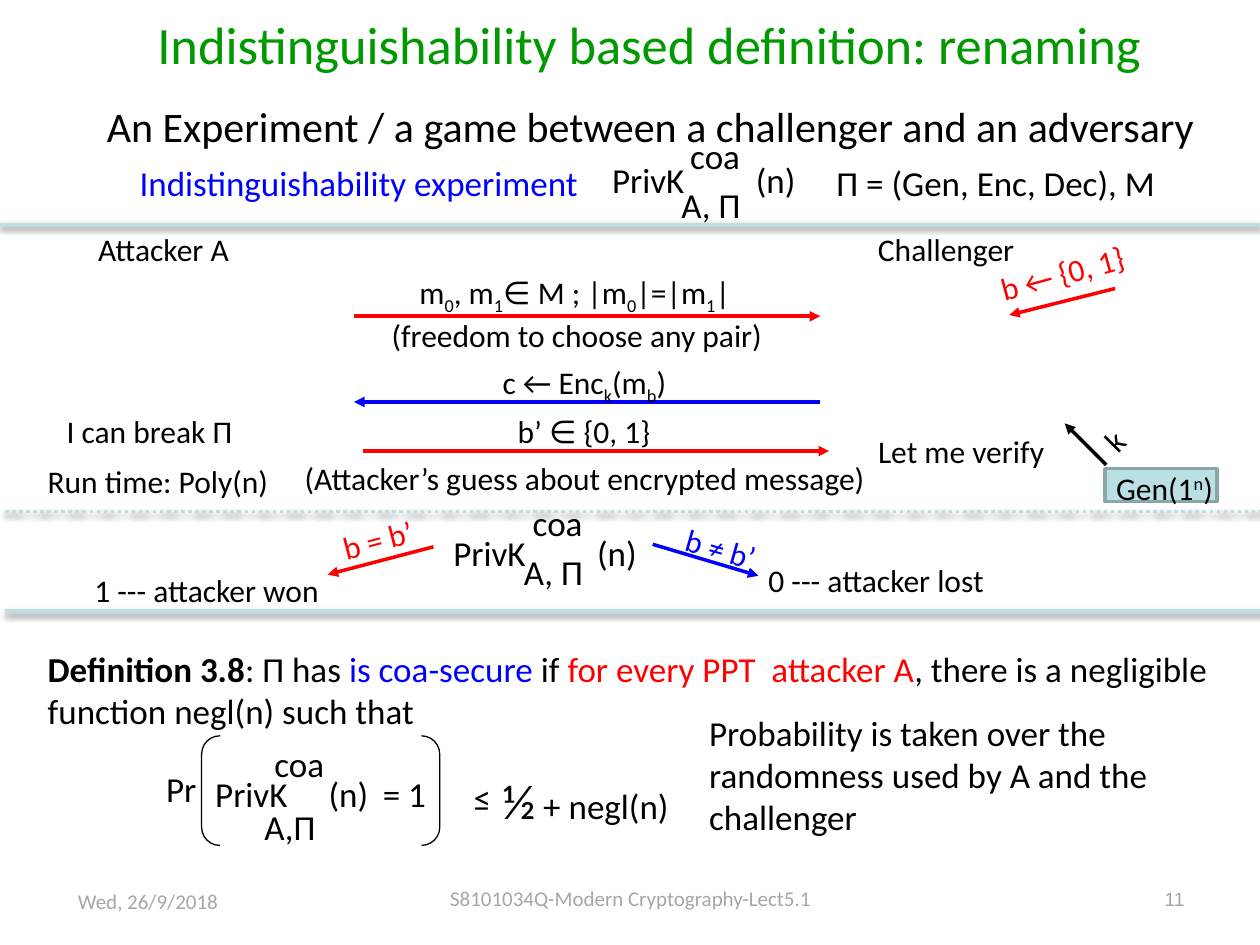
import dataclasses
import typing

import lxml.etree
import pptx
import pptx.dml.color
import pptx.enum.dml
import pptx.enum.shapes
import pptx.enum.text
import pptx.oxml.ns
import pptx.util

PX = 9144  # EMU in one px, 100 px to the inch
INK = {
    "black": "000000", "red": "FF0000", "blue": "0000FF", "green": "009900",
    "pale": "BBE0E3", "edge": "8AA6A8", "gray": "A6A6A6",
}
ALIGN = pptx.enum.text.PP_ALIGN
FIT = pptx.enum.text.MSO_AUTO_SIZE
SHAPE = pptx.enum.shapes.MSO_SHAPE
DOT = pptx.enum.dml.MSO_LINE.ROUND_DOT
qn = pptx.oxml.ns.qn


@dataclasses.dataclass
class Run:
    text: str
    form: dict = dataclasses.field(default_factory=dict)
    ink: str = ""
    base: int = 0


@dataclasses.dataclass
class Label:
    x: int
    y: int
    w: int
    h: int
    text: typing.Union[str, list[Run]]
    size: int = 18
    ink: str = "black"
    align: typing.Any = ALIGN.LEFT
    turn: float = 0
    tab: int = 0
    font: str = "Calibri"
    grow: bool = True


@dataclasses.dataclass
class Arrow:
    x: int
    y: int
    tipx: int
    tipy: int
    ink: str


@dataclasses.dataclass
class Rule:
    x: int
    y: int
    dash: typing.Any = None


@dataclasses.dataclass
class Game:
    """PrivK(n) with a raised and a lowered mark, as offsets from x, y."""
    x: int
    y: int
    w: int
    tab: int
    low: tuple[str, int, int]
    high: tuple[str, int, int]


def emu(*nums: int) -> list[int]:
    return [num * PX for num in nums]


def rgb(ink: str) -> pptx.dml.color.RGBColor:
    return pptx.dml.color.RGBColor.from_string(INK[ink])


def apply(thing: typing.Any, form: dict) -> None:
    for key, value in form.items():
        setattr(thing, key, value)


def mixed(*parts: str) -> list[Run]:
    """Plain text and subscripts in turn."""
    return [Run(part, base=-25 if i % 2 else 0) for i, part in enumerate(parts)]


def write(slide: typing.Any, item: Label) -> None:
    box = slide.shapes.add_textbox(*emu(item.x, item.y, item.w, item.h))
    box.rotation = item.turn
    fit = FIT.SHAPE_TO_FIT_TEXT if item.grow else FIT.NONE
    apply(box.text_frame, {"word_wrap": True, "auto_size": fit})
    para = box.text_frame.paragraphs[0]
    para.alignment = item.align
    if item.tab:
        tabs = lxml.etree.SubElement(para._p.get_or_add_pPr(), qn("a:tabLst"))
        lxml.etree.SubElement(tabs, qn("a:tab"), pos=str(item.tab * PX), algn="l")
    runs = [Run(item.text)] if isinstance(item.text, str) else item.text
    for part in runs:
        run = para.add_run()
        run.text = part.text
        form = {"name": item.font, "size": pptx.util.Pt(item.size)}
        apply(run.font, form | part.form)
        run.font.color.rgb = rgb(part.ink or item.ink)
        if part.base:
            run._r.get_or_add_rPr().set("baseline", str(part.base * 1000))


def stroke(slide: typing.Any, ends: list[int], ink: str) -> tuple:
    """A bare line, with its outline and effect elements."""
    kind = pptx.enum.shapes.MSO_CONNECTOR.STRAIGHT
    line = slide.shapes.add_connector(kind, *ends)
    line.line.color.rgb = rgb(ink)
    line.line.width = pptx.util.Pt(2)
    props = line._element.spPr
    return line, props.find(qn("a:ln")), lxml.etree.SubElement(props, qn("a:effectLst"))


def point(slide: typing.Any, item: Arrow) -> None:
    ends = emu(item.x, item.y, item.tipx, item.tipy)
    _, edge, _ = stroke(slide, ends, item.ink)
    lxml.etree.SubElement(edge, qn("a:tailEnd"), type="triangle")


def divide(slide: typing.Any, item: Rule) -> None:
    ends = emu(item.x, item.y, item.x + 1000, item.y)
    line, _, glow = stroke(slide, ends, "pale")
    if item.dash:
        line.line.dash_style = item.dash
    cast = lxml.etree.SubElement(glow, qn("a:outerShdw"), blurRad="40000",
                                 dist="20000", dir="5400000", rotWithShape="0")
    tone = lxml.etree.SubElement(cast, qn("a:srgbClr"), val=INK["black"])
    lxml.etree.SubElement(tone, qn("a:alpha"), val="38000")


def frame(slide: typing.Any, kind: typing.Any, at: tuple, ink: str,
          width: float, fill: str = "") -> None:
    box = slide.shapes.add_shape(kind, *emu(*at))
    box.shadow.inherit = False
    if fill:
        box.fill.solid()
        box.fill.fore_color.rgb = rgb(fill)
    else:
        box.fill.background()
    box.line.color.rgb = rgb(ink)
    box.line.width = pptx.util.Pt(width)


def play(slide: typing.Any, item: Game) -> None:
    write(slide, Label(item.x, item.y, item.w, 44, "PrivK\t(n)", 20, tab=item.tab))
    for text, dx, dy in (item.low, item.high):
        write(slide, Label(item.x + dx, item.y + dy, 70, 44, text, 20))


MID = ALIGN.CENTER
RULES = [Rule(0, 178), Rule(4, 406, DOT), Rule(4, 485)]
ARROWS = [
    Arrow(281, 251, 651, 251, "red"),
    Arrow(651, 319, 281, 319, "blue"),
    Arrow(288, 358, 658, 358, "red"),
    Arrow(885, 229, 801, 250, "red"),
    Arrow(878, 369, 845, 336, "black"),
    Arrow(344, 434, 260, 456, "red"),
    Arrow(518, 432, 602, 457, "blue"),
]
GAMES = [
    Game(476, 121, 244, 114, ("A, Π", 55, 20), ("coa", 62, -19)),
    Game(350, 417, 244, 114, ("A, Π", 56, 15), ("coa", 63, -24)),
    Game(161, 608, 164, 90, ("A,Π", 39, 26), ("coa", 47, -24)),
]
LABELS = [
    # Heading
    Label(51, 5, 929, 102, "Indistinguishability based definition: renaming",
          30, "green", MID, grow=False),
    Label(75, 75, 953, 50,
          "An Experiment / a game between a challenger and an adversary", 24),
    Label(101, 123, 407, 44, "Indistinguishability experiment", 20, "blue"),
    Label(654, 123, 342, 44, "Π = (Gen, Enc, Dec), M", 20),
    # Attacker and challenger
    Label(68, 178, 164, 40, "Attacker A"),
    Label(43, 322, 165, 40, "I can break Π"),
    Label(28, 362, 220, 40, "Run time: Poly(n)"),
    Label(687, 178, 164, 40, "Challenger"),
    Label(687, 338, 182, 40, "Let me verify"),
    Label(876, 367, 117, 40, [Run("Gen(1"), Run("n", base=30), Run(")")]),
    Label(867, 326, 42, 40, "k", turn=314.7),
    Label(783, 195, 132, 40, "b ← {0, 1}", ink="red", turn=344.8),
    # Messages
    Label(323, 212, 288, 40,
          mixed("m", "0", ", m", "1", "∈ M ; |m", "0", "|=|m", "1", "|")),
    Label(301, 246, 356, 40, "(freedom to choose any pair)"),
    Label(389, 283, 279, 40, mixed("c ← Enc", "k", "(m", "b", ")")),
    Label(390, 322, 147, 40, "b’ ∈ {0, 1}", align=MID),
    Label(232, 359, 520, 40, "(Attacker’s guess about encrypted message)"),
    # Outcome
    Label(261, 401, 132, 40, "b = b’", ink="red", turn=345.4),
    Label(65, 448, 231, 40, "1 --- attacker won"),
    Label(533, 423, 132, 40, "b ≠ b’", ink="blue", turn=16.1),
    Label(600, 440, 231, 40, "0 --- attacker lost"),
    # Definition
    Label(28, 509, 961, 77, [
        Run("Definition 3.8", {"bold": True}), Run(": Π has "),
        Run("is coa-secure ", ink="blue"), Run("if "),
        Run("for every PPT  attacker A", ink="red"),
        Run(", there is a negligible function negl(n) such that")], 20),
    Label(122, 604, 62, 44, "Pr", 20),
    Label(294, 608, 62, 44, "= 1", 20),
    Label(366, 611, 62, 44, "≤", 20),
    Label(389, 607, 164, 57,
          [Run("½", {"size": pptx.util.Pt(28)}), Run(" + negl(n)")], 20),
    Label(553, 560, 425, 111,
          "Probability is taken over the randomness used by A and the challenger", 20),
    # Footer
    Label(1, 700, 233, 29, "Wed, 26/9/2018", 12, "gray", MID, grow=False),
    Label(342, 698, 317, 29, "S8101034Q-Modern Cryptography-Lect5.1",
          12, "gray", MID, grow=False),
    Label(906, 699, 44, 39, "11", 11, "gray", ALIGN.RIGHT, font="Arial", grow=False),
]


def main() -> None:
    deck = pptx.Presentation()
    deck.slide_width, deck.slide_height = emu(1000, 750)
    slide = deck.slides.add_slide(deck.slide_layouts[6])
    frame(slide, SHAPE.RECTANGLE, (877, 372, 89, 26), "edge", 2, "pale")
    frame(slide, SHAPE.DOUBLE_BRACKET, (160, 584, 189, 87), "black", 0.75)
    for draw, items in ((divide, RULES), (point, ARROWS), (play, GAMES), (write, LABELS)):
        for item in items:
            draw(slide, item)
    deck.save("out.pptx")


if __name__ == "__main__":
    main()
